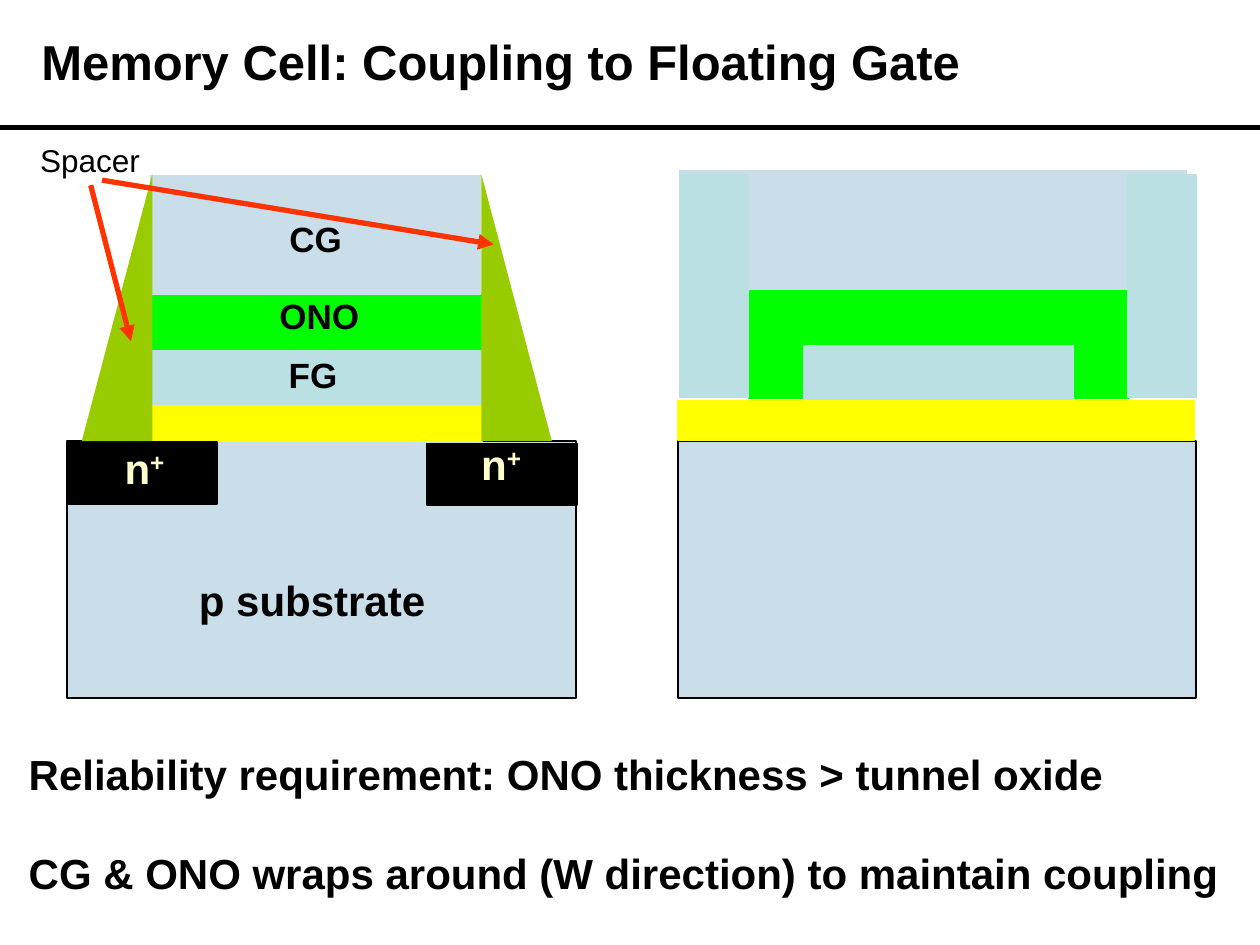
from pptx import Presentation
from pptx.dml.color import RGBColor
from pptx.enum.shapes import MSO_CONNECTOR, MSO_SHAPE
from pptx.enum.text import MSO_AUTO_SIZE, PP_ALIGN
from pptx.oxml.ns import qn
from pptx.util import Inches, Pt
from lxml import etree

RECT, WEDGE = MSO_SHAPE.RECTANGLE, MSO_SHAPE.RIGHT_TRIANGLE
LINE = MSO_CONNECTOR.STRAIGHT
LEFT, MID = PP_ALIGN.LEFT, PP_ALIGN.CENTER
GROW = MSO_AUTO_SIZE.SHAPE_TO_FIT_TEXT

BLACK = RGBColor(0x00, 0x00, 0x00)
STEEL = RGBColor(0xCA, 0xDE, 0xE9)
AQUA = RGBColor(0xBB, 0xE0, 0xE3)
GREEN = RGBColor(0x00, 0xFF, 0x00)
OLIVE = RGBColor(0x99, 0xCC, 0x00)
GOLD = RGBColor(0xFF, 0xFF, 0x00)
CREAM = RGBColor(0xFF, 0xFF, 0xCC)
RED = RGBColor(0xFF, 0x33, 0x00)

# Slide grid: 100 columns by 75 rows of square cells
COLS, ROWS = 100, 75
WIDE, HIGH = Inches(10), Inches(7.5)

# Layers, back to front: column, row, columns, rows, fill, line
CELL = [
    (5.3, 35, 40.4, 20.4, STEEL, BLACK),      # substrate
    (12, 32.2, 26.3, 2.8, GOLD, GOLD),        # tunnel oxide
    (12, 27.7, 26.3, 4.4, AQUA, AQUA),        # floating gate
    (12.1, 23.3, 26.1, 4.4, GREEN, GREEN),    # ONO
    (11.9, 13.9, 26.3, 9.5, STEEL, None),     # control gate
    (5.3, 35.1, 11.9, 4.9, BLACK, BLACK),     # left n+
    (33.9, 35.2, 11.9, 4.9, BLACK, BLACK),    # right n+
]
WRAP = [
    (53.8, 35, 41.1, 20.4, STEEL, BLACK),     # substrate
    (53.8, 31.8, 41, 3.1, GOLD, GOLD),        # tunnel oxide
    (63.7, 27.3, 21.8, 4.4, AQUA, AQUA),      # floating gate
    (59.4, 22.9, 30.3, 4.4, GREEN, GREEN),    # ONO top
    (53.9, 13.5, 40.3, 9.5, STEEL, None),     # control gate
    (59.4, 27.2, 4.3, 4.4, GREEN, GREEN),     # ONO legs
    (85.3, 27.2, 4.3, 4.4, GREEN, GREEN),
]
# Side walls lie on their side and are turned upright
WALLS = [(col, 20, 17.7, 5.4, AQUA, AQUA) for col in (47.8, 83.4)]
# Spacers: column, mirrored
SIDES = [(38.2, False), (6.5, True)]

# Labels: column, row, columns, rows, lines, size, bold, colour, align
LABELS = [
    (2.3, 2, 84, 5.7, ["Memory Cell: Coupling to Floating Gate"],
     28, True, BLACK, LEFT),
    (16.2, 16.8, 17.7, 4.4, ["CG"], 20, True, BLACK, MID),
    (16.5, 22.9, 17.7, 4.4, ["ONO"], 20, True, BLACK, MID),
    (21.7, 27.6, 6.3, 4.4, ["FG"], 20, True, BLACK, MID),
    (14.8, 45.1, 23.5, 5, ["p substrate"], 24, True, BLACK, LEFT),
    (8.9, 34.6, 10.1, 5, ["n^+"], 24, True, CREAM, LEFT),
    (37.2, 34.3, 10.1, 5, ["n^+"], 24, True, CREAM, LEFT),
    (2.2, 10.7, 9.9, 4, ["Spacer"], 18, False, BLACK, LEFT),
    (1.3, 58.9, 97, 13, [
        "Reliability requirement: ONO thickness > tunnel oxide",
        "CG & ONO wraps around (W direction) to maintain coupling",
    ], 24, True, BLACK, LEFT),
]

# Lines: from column, row, to column, row, colour, arrow
RULE = (0, 10.1, COLS, 10.1, BLACK, False)
ARROWS = [
    (7.2, 14.7, 10.4, 27.1, RED, True),
    (8.1, 14.3, 39.2, 19.4, RED, True),
]

deck = Presentation()
deck.slide_width, deck.slide_height = WIDE, HIGH
slide = deck.slides.add_slide(deck.slide_layouts[6])


def place(*cells):
    units = (WIDE / COLS, HIGH / ROWS) * 2
    return [round(n * unit) for n, unit in zip(cells, units)]


def style(item, traits):
    for name, value in traits.items():
        setattr(item, name, value)


def block(col, row, cols, rows, fill, edge, kind=RECT):
    shape = slide.shapes.add_shape(kind, *place(col, row, cols, rows))
    shape.shadow.inherit = False
    shape.fill.solid()
    shape.fill.fore_color.rgb = fill
    if edge is None:
        shape.line.fill.background()
    else:
        shape.line.color.rgb = edge
        shape.line.width = Pt(1)
    return shape


def label(col, row, cols, rows, lines, size, bold, ink, align):
    box = slide.shapes.add_textbox(*place(col, row, cols, rows))
    frame = box.text_frame
    style(frame, {"word_wrap": True, "auto_size": GROW})
    for i, line in enumerate(lines):
        para = frame.add_paragraph() if i else frame.paragraphs[0]
        style(para, {"alignment": align,
                     "space_before": Pt(size * 1.15 if i else 0)})
        # A caret starts a superscript
        for j, part in enumerate(line.split("^")):
            run = para.add_run()
            run.text = part
            style(run.font, {"name": "Arial", "size": Pt(size), "bold": bold})
            run.font.color.rgb = ink
            if j:
                run.font._element.set("baseline", "30000")


def stroke(col, row, end, base, ink, arrow):
    line = slide.shapes.add_connector(LINE, *place(col, row, end, base))
    line.line.color.rgb = ink
    line.line.width = Pt(3)
    if arrow:
        edge = line.line._get_or_add_ln()
        etree.SubElement(edge, qn("a:tailEnd"), type="triangle")
    etree.SubElement(line._element.spPr, qn("a:effectLst"))


# Header rule and both cross-sections
stroke(*RULE)
for layer in CELL + WRAP:
    block(*layer)
for wall in WALLS:
    block(*wall).rotation = 90
for col, flip in SIDES:
    wedge = block(col, 13.8, 5.6, 21.2, OLIVE, None, WEDGE)
    if flip:
        wedge._element.spPr.xfrm.set("flipH", "1")

# Text, then the spacer arrows on top
for text in LABELS:
    label(*text)
for arrow in ARROWS:
    stroke(*arrow)

deck.save("out.pptx")
